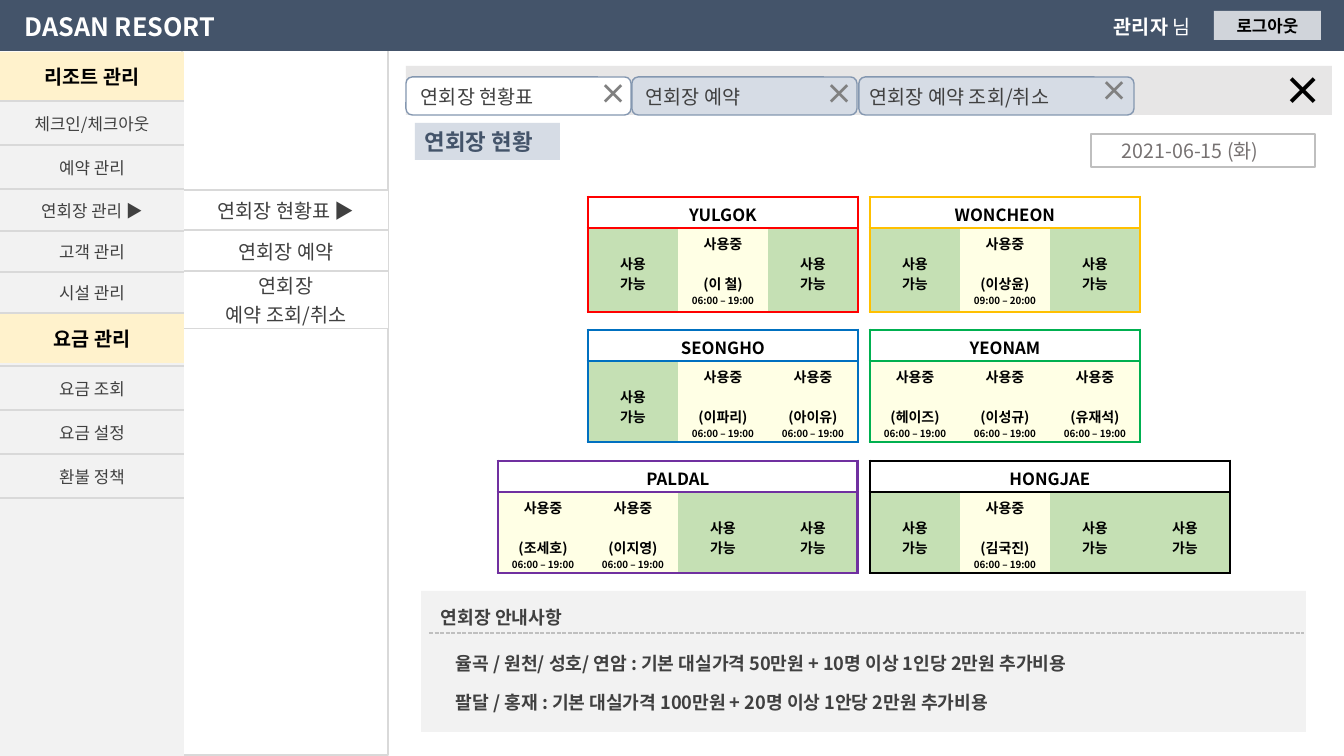
from lxml import etree
from pptx import Presentation
from pptx import util as u
from pptx.dml.color import RGBColor
from pptx.enum import dml, shapes, text
from pptx.oxml.ns import qn

FONT = "Noto Sans CJK KR"
PX = 12192000 / 1344
WHITE = RGBColor(255, 255, 255)
BLACK = RGBColor(0, 0, 0)
NAVY = RGBColor(0x44, 0x54, 0x6A)
STEEL = RGBColor(0x84, 0x97, 0xB0)
MIST = RGBColor(0xD6, 0xDC, 0xE5)
BUTTON = RGBColor(0xD0, 0xD4, 0xDA)
PANEL = RGBColor(0xF2, 0xF2, 0xF2)
BAR = RGBColor(0xE7, 0xE6, 0xE6)
RULE = RGBColor(0xD9, 0xD9, 0xD9)
SILVER = RGBColor(0xBF, 0xBF, 0xBF)
GREY = RGBColor(0x80, 0x80, 0x80)
DATE = RGBColor(0x76, 0x71, 0x71)
INK = RGBColor(0x40, 0x40, 0x40)
CREAM = RGBColor(0xFF, 0xF2, 0xCC)
FREE = RGBColor(0xC5, 0xE0, 0xB4)
BUSY = RGBColor(0xFF, 0xFF, 0xE5)
RED = RGBColor(0xFF, 0, 0)
AMBER = RGBColor(0xFF, 0xC0, 0)
BLUE = RGBColor(0, 0x70, 0xC0)
GREEN = RGBColor(0, 0xB0, 0x50)
PURPLE = RGBColor(0x70, 0x30, 0xA0)
LEFT, CENTER = text.PP_ALIGN.LEFT, text.PP_ALIGN.CENTER
RECT = shapes.MSO_SHAPE.RECTANGLE
ROUND = shapes.MSO_SHAPE.ROUNDED_RECTANGLE

DAY = "06:00 – 19:00"
HALLS = [
    ("YULGOK", RED, 588, 197, 84, [None, ("이 철", DAY), None]),
    ("WONCHEON", AMBER, 870, 197, 84, [None, ("이상윤", "09:00 – 20:00"), None]),
    ("SEONGHO", BLUE, 588, 330, 81, [None, ("이파리", DAY), ("아이유", DAY)]),
    ("YEONAM", GREEN, 870, 330, 81,
     [("헤이즈", DAY), ("이성규", DAY), ("유재석", DAY)]),
    ("PALDAL", PURPLE, 498, 461, 81,
     [("조세호", DAY), ("이지영", DAY), None, None]),
    ("HONGJAE", BLACK, 870, 461, 81, [None, ("김국진", DAY), None, None]),
]
TABS = [
    ("연회장 예약", 632, 225, 636, 816, MIST),
    ("연회장 현황표", 406, 225, 411, 590, WHITE),
    ("연회장 예약 조회/취소", 859, 275, 860, 1091, MIST),
]


def px(n):
    return u.Emu(round(n * PX))


def box(*lengths):
    return [px(n) for n in lengths]


def style(r, size, color, bold):
    r.font.size = u.Pt(size)
    r.font.bold = bold
    r.font.color.rgb = color
    r.font.name = FONT
    etree.SubElement(r.font._element, qn("a:ea")).set("typeface", FONT)


def write(tf, content, size, color, bold=False, align=LEFT):
    tf.text = content
    for p in tf.paragraphs:
        p.alignment = align
        for r in p.runs:
            style(r, size, color, bold)


def shape(s, kind, bounds, fill, line=None):
    sp = s.shapes.add_shape(kind, *box(*bounds))
    sp.shadow.inherit = False
    sp.fill.solid()
    sp.fill.fore_color.rgb = fill
    if line is None:
        sp.line.fill.background()
    else:
        sp.line.color.rgb = line
        sp.line.width = u.Pt(1)
    return sp


def labelled(s, bounds, fill, content, size, color, bold=True, align=CENTER, line=None):
    sp = shape(s, RECT, bounds, fill, line)
    tf = sp.text_frame
    tf.vertical_anchor = text.MSO_ANCHOR.MIDDLE
    write(tf, content, size, color, bold, align)
    return tf


def label(s, bounds, content, size, color, bold=False, align=LEFT):
    tf = s.shapes.add_textbox(*box(*bounds)).text_frame
    tf.word_wrap = True
    write(tf, content, size, color, bold, align)
    return tf


def table(s, x, y, widths, heights):
    bounds = box(x, y, sum(widths), sum(heights))
    t = s.shapes.add_table(len(heights), len(widths), *bounds).table
    t.first_row = t.horz_banding = False
    for col, w in zip(t.columns, widths):
        col.width = px(w)
    for row, h in zip(t.rows, heights):
        row.height = px(h)
    return t


def cell_format(cell, fill, edges, color, width, top=0):
    cell.margin_left = cell.margin_right = cell.margin_bottom = 0
    cell.margin_top = px(top)
    tcPr = cell._tc.get_or_add_tcPr()
    for side in "LRTB":
        ln = etree.SubElement(tcPr, qn("a:ln" + side), w=str(u.Pt(width)))
        if side in edges:
            solid = etree.SubElement(ln, qn("a:solidFill"))
            etree.SubElement(solid, qn("a:srgbClr"), val=str(color))
        else:
            etree.SubElement(ln, qn("a:noFill"))
    cell.fill.solid()
    cell.fill.fore_color.rgb = fill


def menu(s, x, y, width, heights, items, size, fill):
    t = table(s, x, y, [width], heights)
    for i, item in enumerate(items):
        cell = t.cell(i, 0)
        cell_format(cell, fill, "TB", RULE, 1)
        cell.vertical_anchor = text.MSO_ANCHOR.MIDDLE
        write(cell.text_frame, item, size, INK, align=CENTER)


def hall(s, name, color, x, y, body, slots):
    n = len(slots)
    t = table(s, x, y, [90] * n, [31, body])
    t.cell(0, 0).merge(t.cell(0, n - 1))
    write(t.cell(0, 0).text_frame, name, 12, BLACK, True, CENTER)
    for i, slot in enumerate(slots):
        cell_format(t.cell(0, i), WHITE, "LRTB", color, 2.25, 5)
        edges = "TB" + "L" * (i == 0) + "R" * (i == n - 1)
        cell = t.cell(1, i)
        tf = cell.text_frame
        if slot is None:
            cell_format(cell, FREE, edges, color, 2.25, 25)
            write(tf, "사용\n가능", 10, BLACK, True, CENTER)
        else:
            guest, hours = slot
            cell_format(cell, BUSY, edges, color, 2.25, 5)
            write(tf, f"사용중\n({guest})\n{hours}", 10, BLACK, True, CENTER)
            tf.paragraphs[1].space_before = u.Pt(14.5)
            tf.paragraphs[2].runs[0].font.size = u.Pt(7)


def dashed_line(s, x1, y, x2):
    c = s.shapes.add_connector(shapes.MSO_CONNECTOR.STRAIGHT, *box(x1, y, x2, y))
    c.line.color.rgb = SILVER
    c.line.width = u.Pt(1)
    c.line.dash_style = dml.MSO_LINE.SQUARE_DOT
    etree.SubElement(c._element.spPr, qn("a:effectLst"))


def header(s):
    shape(s, RECT, (0, 0, 1344, 51), NAVY)
    label(s, (0, 6, 240, 40), "DASAN RESORT", 18, WHITE, True, CENTER)
    tf = label(s, (1104, 10, 121, 34), "관리자", 14, WHITE, True)
    r = tf.paragraphs[0].add_run()
    r.text = " 님"
    style(r, 14, WHITE, False)
    labelled(s, (1214, 11, 107, 29), BUTTON, "로그아웃", 12, BLACK)


def sidebar(s):
    shape(s, RECT, (182, 50, 206, 705), WHITE, RULE)
    shape(s, RECT, (0, 52, 184, 704), PANEL)
    for y, title in [(52, "리조트 관리"), (314, "요금 관리")]:
        labelled(s, (0, y, 184, 49), CREAM, title, 14, BLACK)
    menu(s, 0, 101, 184, [44, 44, 42, 41, 41],
         ["체크인/체크아웃", "예약 관리", "연회장 관리 ▶", "고객 관리", "시설 관리"], 12, PANEL)
    menu(s, 0, 366, 184, [44] * 3, ["요금 조회", "요금 설정", "환불 정책"], 12, PANEL)
    menu(s, 184, 190, 204, [40, 41, 57],
         ["연회장 현황표 ▶", "연회장 예약", "연회장\n예약 조회/취소"], 14, WHITE)


def tab_bar(s):
    shape(s, RECT, (406, 66, 926, 49), BAR)
    for name, x, w, text_x, close_x, fill in TABS:
        shape(s, ROUND, (x, 77, w, 38), fill, STEEL)
        label(s, (text_x, 80, w, 34), name, 14, INK)
        close_y = 69 if x == 859 else 72
        label(s, (close_x, close_y, 48, 44), "×", 20, GREY, True)
    label(s, (1274, 61, 70, 57), "×", 28, BLACK, True)


def notice(s):
    shape(s, RECT, (421, 591, 885, 141), PANEL)
    label(s, (431, 601, 200, 32), "연회장 안내사항", 13, INK, True)
    dashed_line(s, 429, 633, 1304)
    tf = label(s, (446, 647, 841, 77),
               "율곡 / 원천/ 성호/ 연암 : 기본 대실가격 50만원 + 10명 이상 1인당 2만원 추가비용\n"
               "팔달 / 홍재 : 기본 대실가격 100만원 + 20명 이상 1안당 2만원 추가비용",
               13, INK, True)
    tf.paragraphs[1].space_before = u.Pt(12.6)


def main():
    prs = Presentation()
    prs.slide_width, prs.slide_height = box(1344, 756)
    s = prs.slides.add_slide(prs.slide_layouts[6])
    sidebar(s)
    header(s)
    tab_bar(s)
    labelled(s, (415, 123, 145, 37), MIST, "연회장 현황", 16, NAVY, align=LEFT)
    tf = labelled(s, (1091, 134, 224, 33), WHITE, "2021-06-15 (화)", 14, DATE,
                  False, LEFT, SILVER)
    tf.margin_left = px(31)
    for details in HALLS:
        hall(s, *details)
    notice(s)
    prs.save("out.pptx")


if __name__ == "__main__":
    main()
